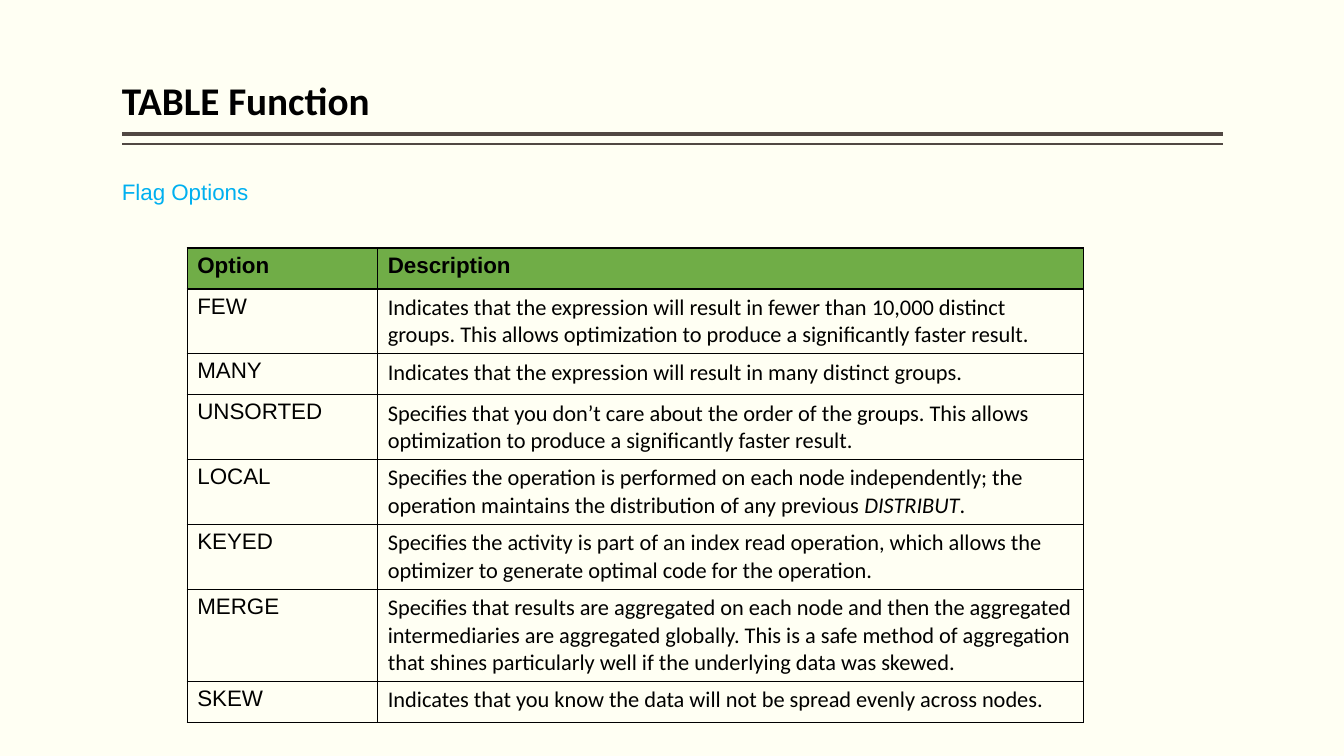
"""Build the TABLE Function slide with its table of flag options."""
import pptx
import pptx.dml.color
import pptx.enum.shapes
import pptx.enum.text
import pptx.oxml
import pptx.oxml.ns
import pptx.util
from pptx.util import Cm, Pt

RGBColor = pptx.dml.color.RGBColor
BLACK = RGBColor(0x00, 0x00, 0x00)
CREAM = RGBColor(0xFF, 0xFF, 0xF3)
RULE = RGBColor(0x51, 0x48, 0x43)
BLUE = RGBColor(0x00, 0xB0, 0xF0)
GREEN = RGBColor(0x70, 0xAD, 0x47)
LEFT, WIDTH = Cm(3.07), Cm(27.74)

OPTIONS = [
    ("Option", "Description"),
    ("FEW", "Indicates that the expression will result in fewer than 10,000 distinct groups. "
     "This allows optimization to produce a significantly faster result."),
    ("MANY", "Indicates that the expression will result in many distinct groups."),
    ("UNSORTED", "Specifies that you don’t care about the order of the groups. "
     "This allows optimization to produce a significantly faster result."),
    ("LOCAL", "Specifies the operation is performed on each node independently; "
     "the operation maintains the distribution of any previous *DISTRIBUT*."),
    ("KEYED", "Specifies the activity is part of an index read operation, "
     "which allows the optimizer to generate optimal code for the operation."),
    ("MERGE", "Specifies that results are aggregated on each node and then the aggregated "
     "intermediaries are aggregated globally. This is a safe method of aggregation "
     "that shines particularly well if the underlying data was skewed."),
    ("SKEW", "Indicates that you know the data will not be spread evenly across nodes."),
]


def set_font(p, name, size, color, bold=False):
    p.font.name = name
    p.font.size = Pt(size)
    p.font.color.rgb = color
    p.font.bold = bold


def set_borders(cell):
    tcPr = cell._tc.get_or_add_tcPr()
    for i, side in enumerate(("lnL", "lnR", "lnT", "lnB")):
        tcPr.insert(i, pptx.oxml.parse_xml(
            f'<a:{side} {pptx.oxml.ns.nsdecls("a")} w="12700"><a:solidFill>'
            f'<a:srgbClr val="{BLACK}"/></a:solidFill></a:{side}>'))


prs = pptx.Presentation()
prs.slide_width, prs.slide_height = Cm(33.87), Cm(19.05)
s = prs.slides.add_slide(prs.slide_layouts[5])
s.background.fill.solid()
s.background.fill.fore_color.rgb = CREAM

for y, weight in ((3.38, 3), (3.63, 1)):
    rule = s.shapes.add_connector(
        pptx.enum.shapes.MSO_CONNECTOR.STRAIGHT, LEFT + WIDTH, Cm(y), LEFT, Cm(y))
    rule.line.color.rgb = RULE
    rule.line.width = Pt(weight)
    rule._element.spPr.append(pptx.oxml.parse_xml(
        f'<a:effectLst {pptx.oxml.ns.nsdecls("a")}/>'))

title = s.shapes.title
title.left, title.top, title.width, title.height = LEFT, Cm(0.2), WIDTH, Cm(3.05)
subtitle = s.shapes.add_textbox(LEFT, Cm(4.45), WIDTH, Cm(12.7))
for sp, text, anchor in (
        (title, "TABLE Function", pptx.enum.text.MSO_ANCHOR.BOTTOM),
        (subtitle, "Flag Options", pptx.enum.text.MSO_ANCHOR.TOP)):
    tf = sp.text_frame
    tf.text = text
    tf.word_wrap = True
    tf.auto_size = pptx.enum.text.MSO_AUTO_SIZE.NONE
    tf.vertical_anchor = anchor
    tf.margin_left = tf.margin_right = 0
    tf.paragraphs[0].alignment = pptx.enum.text.PP_ALIGN.LEFT
    tf.paragraphs[0].line_spacing = 0.9
set_font(title.text_frame.paragraphs[0], "Calibri", 28, BLACK, bold=True)
p = subtitle.text_frame.paragraphs[0]
p.space_before = Pt(18)
set_font(p, "Arial", 16, BLUE)

table = s.shapes.add_table(
    len(OPTIONS), 2, Cm(4.72), Cm(6.25), Cm(22.58), Cm(1.03) * len(OPTIONS)).table
table.horz_banding = False
table.first_row = False
table.columns[0].width, table.columns[1].width = Cm(4.8), Cm(17.78)
for row, texts in enumerate(OPTIONS):
    header = row == 0
    for col, text in enumerate(texts):
        cell = table.cell(row, col)
        if header:
            cell.fill.solid()
            cell.fill.fore_color.rgb = GREEN
        else:
            cell.fill.background()
        set_borders(cell)
        p = cell.text_frame.paragraphs[0]
        set_font(p, "Arial" if header or col == 0 else "Calibri", 16, BLACK, header)
        for i, part in enumerate(text.split("*")):
            r = p.add_run()
            r.text = part
            if i % 2:
                r.font.italic = True

prs.save("out.pptx")
